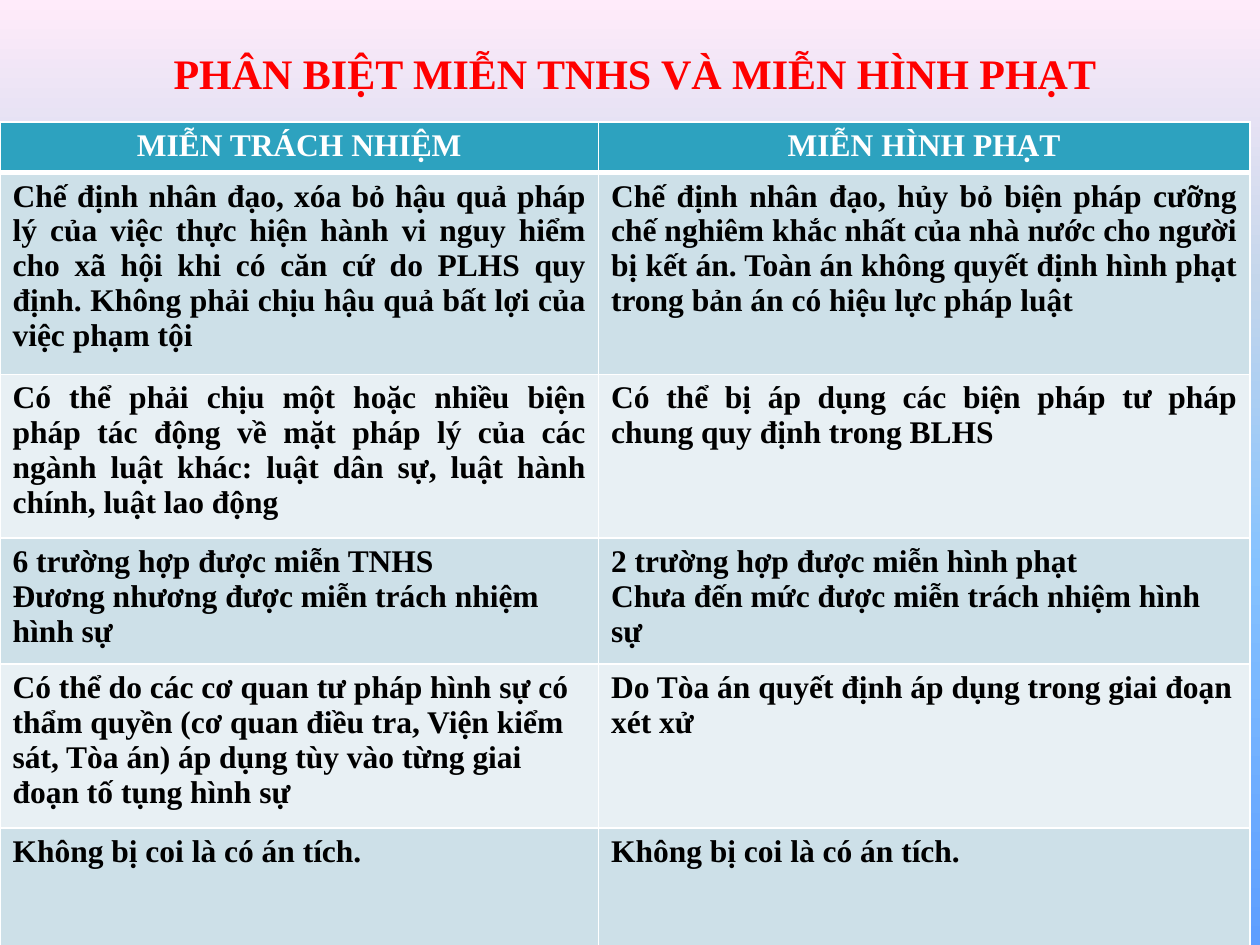
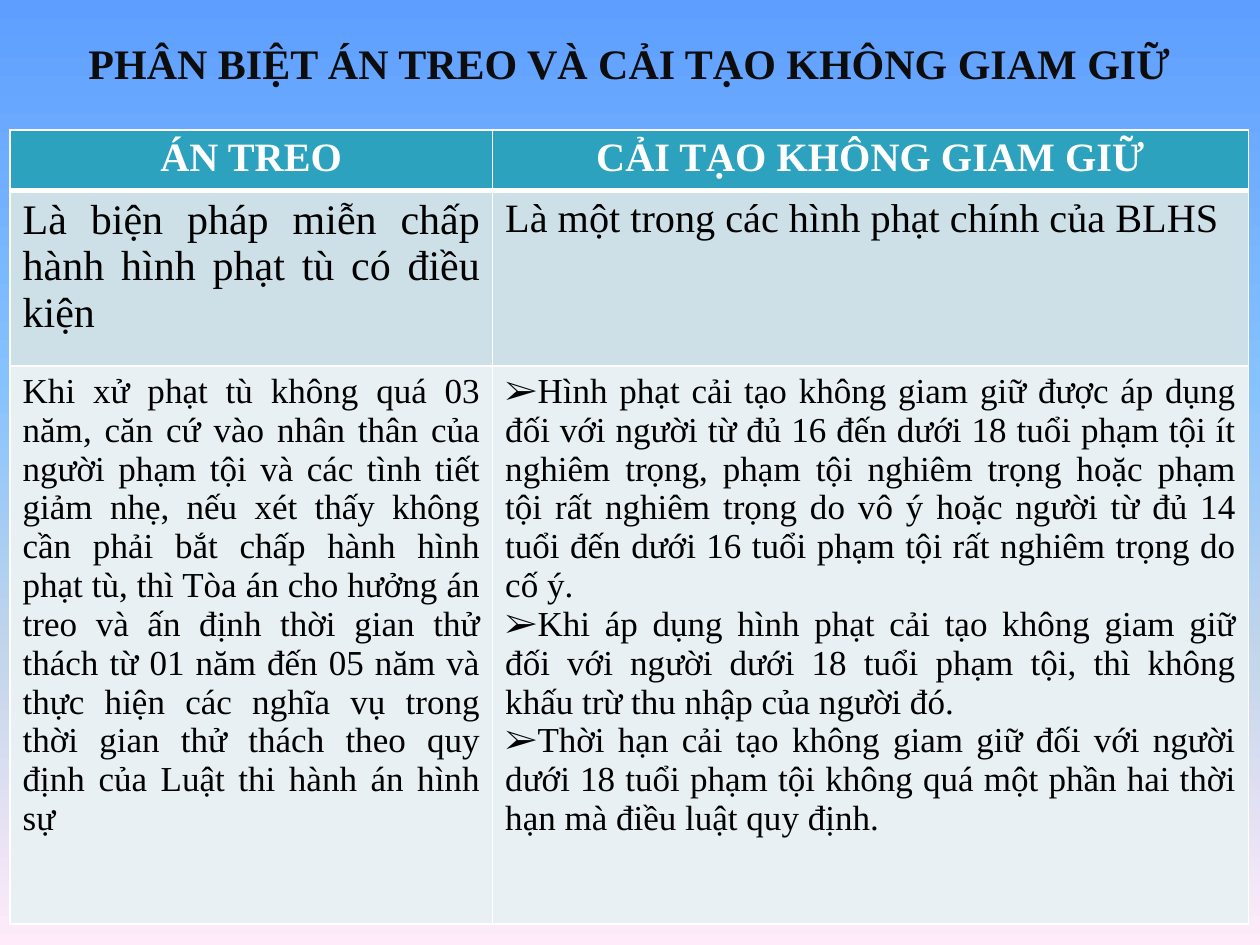
from lxml import etree
from pptx import Presentation
from pptx import util as u
from pptx.dml.color import RGBColor
from pptx.enum import text
from pptx.oxml.ns import qn

FONT = "Times New Roman"
COLORS = {
    "header": "2DA2BF", "band_dark": "CDE0E8", "band_light": "E8F0F4",
    "white": "FFFFFF", "black": "000000", "red": "FF0000", "ink": "0D0D0D",
}
BACKGROUND_STOPS = [(0, "5E9EFF"), (40, "85C2FF"), (70, "C4D6EB"), (100, "FFEBFA")]
TITLE_SIZE = 24
TITLE_HEIGHT = 0.5
CENTER, JUSTIFY, LEFT = text.PP_ALIGN.CENTER, text.PP_ALIGN.JUSTIFY, text.PP_ALIGN.LEFT

# A row holds its height, its alignment, the text sizes of its cells and the
# paragraphs of its cells.
COMPARISONS = [
    {
        "title": "PHÂN BIỆT MIỄN TNHS VÀ MIỄN HÌNH PHẠT",
        "title_color": "red", "title_at": (0.33, 0.33, 9.42),
        "background_angle": 270,
        "table_at": (0, 0.97, 9.92, 6.58), "columns": (4.75, 5.17),
        "bold": True,
        "rows": [
            (0.4, CENTER, (18, 18), [["MIỄN TRÁCH NHIỆM"], ["MIỄN HÌNH PHẠT"]]),
            (1.59, JUSTIFY, (18, 18), [
                ["Chế định nhân đạo, xóa bỏ hậu quả pháp lý của việc thực hiện hành vi "
                 "nguy hiểm cho xã hội khi có căn cứ do PLHS quy định. Không phải chịu "
                 "hậu quả bất lợi của việc phạm tội"],
                ["Chế định nhân đạo, hủy bỏ biện pháp cưỡng chế nghiêm khắc nhất của nhà "
                 "nước cho người bị kết án. Toàn án không quyết định hình phạt trong bản "
                 "án có hiệu lực pháp luật"]]),
            (1.17, JUSTIFY, (18, 18), [
                ["Có thể phải chịu một hoặc nhiều biện pháp tác động về mặt pháp lý của "
                 "các ngành luật khác: luật dân sự, luật hành chính, luật lao động"],
                ["Có thể bị áp dụng các biện pháp tư pháp chung quy định trong BLHS"]]),
            (0.99, LEFT, (18, 18), [
                ["6 trường hợp được miễn TNHS",
                 "Đương nhương được miễn trách nhiệm hình sự"],
                ["2 trường hợp được miễn hình phạt",
                 "Chưa đến mức được miễn trách nhiệm hình sự"]]),
            (1.29, LEFT, (18, 18), [
                ["Có thể do các cơ quan tư pháp hình sự có thẩm quyền (cơ quan điều tra, "
                 "Viện kiểm sát, Tòa án) áp dụng tùy vào từng giai đoạn tố tụng hình sự"],
                ["Do Tòa án quyết định áp dụng trong giai đoạn xét xử"]]),
            (0.98, LEFT, (18, 18), [["Không bị coi là có án tích."]] * 2),
        ],
    },
    {
        "title": "PHÂN BIỆT ÁN TREO VÀ CẢI TẠO KHÔNG GIAM GIỮ",
        "title_color": "ink", "title_at": (0.58, 0.25, 8.83),
        "background_angle": 90,
        "table_at": (0.08, 1.03, 9.83, 6.3), "columns": (3.83, 6),
        "bold": False,
        "rows": [
            (0.42, CENTER, (23, 23), [["ÁN TREO"], ["CẢI TẠO KHÔNG GIAM GIỮ"]]),
            (1.39, JUSTIFY, (24, 23), [
                ["Là biện pháp miễn chấp hành hình phạt tù có điều kiện"],
                ["Là một trong các hình phạt chính của BLHS"]]),
            (4.43, JUSTIFY, (20, 20), [
                ["Khi xử phạt tù không quá 03 năm, căn cứ vào nhân thân của người phạm tội "
                 "và các tình tiết giảm nhẹ, nếu xét thấy không cần phải bắt chấp hành "
                 "hình phạt tù, thì Tòa án cho hưởng án treo và ấn định thời gian thử "
                 "thách từ 01 năm đến 05 năm và thực hiện các nghĩa vụ trong thời gian thử "
                 "thách theo quy định của Luật thi hành án hình sự"],
                ["Hình phạt cải tạo không giam giữ được áp dụng đối với người từ đủ 16 đến "
                 "dưới 18 tuổi phạm tội ít nghiêm trọng, phạm tội nghiêm trọng hoặc phạm "
                 "tội rất nghiêm trọng do vô ý hoặc người từ đủ 14 tuổi đến dưới 16 tuổi "
                 "phạm tội rất nghiêm trọng do cố ý.",
                 "Khi áp dụng hình phạt cải tạo không giam giữ đối với người dưới 18 tuổi "
                 "phạm tội, thì không khấu trừ thu nhập của người đó.",
                 "Thời hạn cải tạo không giam giữ đối với người dưới 18 tuổi phạm tội không "
                 "quá một phần hai thời hạn mà điều luật quy định."]]),
        ],
        "bulleted_cell": (2, 1),
    },
]


def paint_background(slide, angle):
    fill = slide.background.fill
    fill.gradient()
    fill.gradient_angle = 360 - angle  # python-pptx counts counter-clockwise
    stops = slide.element.find(".//" + qn("a:gsLst"))
    for stop in list(stops):
        stops.remove(stop)
    for percent, color in BACKGROUND_STOPS:
        stop = etree.SubElement(stops, qn("a:gs"), pos=str(percent * 1000))
        etree.SubElement(stop, qn("a:srgbClr"), val=color)


def format_paragraph(paragraph, size, color, bold, alignment):
    paragraph.alignment = alignment
    for run in paragraph.runs:
        run.font.name = FONT
        run.font.size = u.Pt(size)
        run.font.bold = bold
        run.font.color.rgb = RGBColor.from_string(COLORS[color])


def add_bullet(paragraph):
    properties = paragraph._p.get_or_add_pPr()
    properties.set("marL", "0")
    properties.set("indent", "0")
    etree.SubElement(properties, qn("a:buFont"), typeface=FONT)
    etree.SubElement(properties, qn("a:buChar"), char="➢")


def set_borders(cell, row):
    """White 1 pt edges, with a 3 pt line between the header and the body."""
    properties = cell._tc.get_or_add_tcPr()
    widths = {"L": 1, "R": 1, "T": 3 if row == 1 else 1, "B": 3 if row == 0 else 1}
    for side, width in widths.items():
        line = etree.SubElement(properties, qn("a:ln" + side), w=str(u.Pt(width)))
        solid = etree.SubElement(line, qn("a:solidFill"))
        etree.SubElement(solid, qn("a:srgbClr"), val=COLORS["white"])


def add_title(slide, comparison):
    left, top, width = comparison["title_at"]
    title = slide.shapes.title
    title.left, title.top = u.Inches(left), u.Inches(top)
    title.width, title.height = u.Inches(width), u.Inches(TITLE_HEIGHT)
    frame = title.text_frame
    frame.text = comparison["title"]
    frame.word_wrap = True
    frame.auto_size = text.MSO_AUTO_SIZE.SHAPE_TO_FIT_TEXT
    frame.vertical_anchor = text.MSO_ANCHOR.TOP
    format_paragraph(frame.paragraphs[0], TITLE_SIZE, comparison["title_color"], True, CENTER)


def add_comparison_table(slide, comparison):
    rows, columns = comparison["rows"], comparison["columns"]
    position = [u.Inches(length) for length in comparison["table_at"]]
    holder = slide.shapes.add_table(len(rows), len(columns), *position)
    table = holder.table
    for column, width in zip(table.columns, columns):
        column.width = u.Inches(width)
    for r, (height, alignment, sizes, contents) in enumerate(rows):
        table.rows[r].height = u.Inches(height)
        is_header = r == 0
        band = "header" if is_header else "band_dark" if r % 2 else "band_light"
        for c, (size, paragraphs) in enumerate(zip(sizes, contents)):
            cell = table.cell(r, c)
            set_borders(cell, r)
            cell.fill.solid()
            cell.fill.fore_color.rgb = RGBColor.from_string(COLORS[band])
            cell.text_frame.text = "\n".join(paragraphs)
            for paragraph in cell.text_frame.paragraphs:
                format_paragraph(paragraph, size, "white" if is_header else "black",
                                 is_header or comparison["bold"], alignment)
                if (r, c) == comparison.get("bulleted_cell"):
                    add_bullet(paragraph)
    holder.height = position[3]


def main():
    deck = Presentation()
    deck.slide_width, deck.slide_height = u.Inches(10), u.Inches(7.5)
    title_only = deck.slide_layouts[5]
    for comparison in COMPARISONS:
        slide = deck.slides.add_slide(title_only)
        paint_background(slide, comparison["background_angle"])
        add_title(slide, comparison)
        add_comparison_table(slide, comparison)
    deck.save("out.pptx")


if __name__ == "__main__":
    main()
